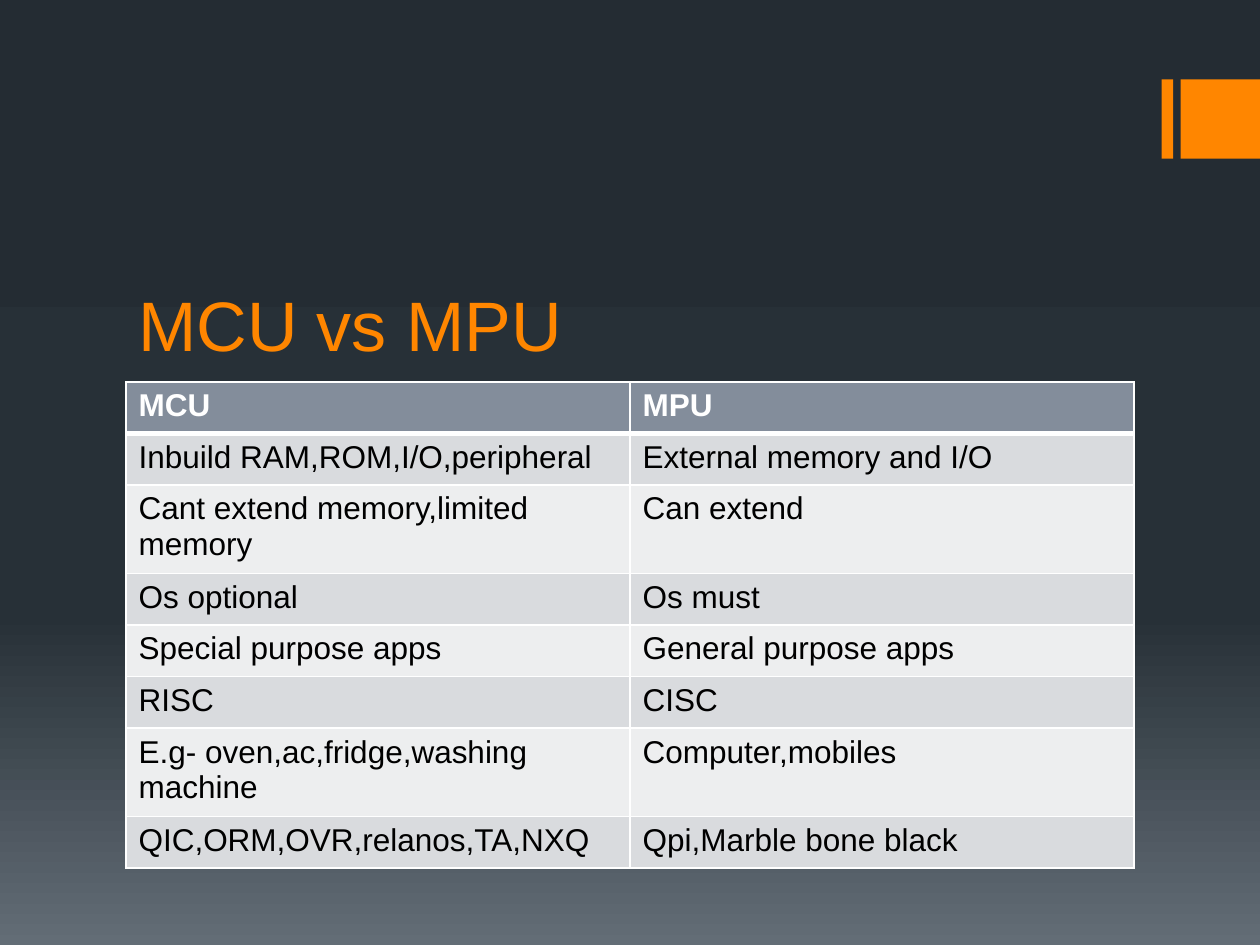
from lxml import etree
from pptx import Presentation
from pptx.dml.color import RGBColor
from pptx.enum.shapes import MSO_SHAPE
from pptx.enum.text import MSO_ANCHOR
from pptx.oxml.ns import qn
from pptx.util import Inches, Pt

RECTANGLE = MSO_SHAPE.RECTANGLE
BOTTOM = MSO_ANCHOR.BOTTOM

ORANGE = RGBColor(0xFF, 0x86, 0x00)
WHITE = RGBColor(0xFF, 0xFF, 0xFF)
BLACK = RGBColor(0x00, 0x00, 0x00)
HEADER_GRAY = RGBColor(0x83, 0x8D, 0x9B)
BANDS = (RGBColor(0xD9, 0xDB, 0xDE), RGBColor(0xED, 0xEE, 0xEF))
BACKGROUND_STOPS = (
    (0, RGBColor(0x24, 0x2C, 0x33)),
    (65, RGBColor(0x27, 0x30, 0x37)),
    (100, RGBColor(0x63, 0x6D, 0x76)),
)

ROWS = (
    ("MCU", "MPU"),
    ("Inbuild RAM,ROM,I/O,peripheral", "External memory and I/O"),
    ("Cant extend memory,limited memory", "Can extend"),
    ("Os optional", "Os must"),
    ("Special purpose apps", "General purpose apps"),
    ("RISC", "CISC"),
    ("E.g- oven,ac,fridge,washing machine", "Computer,mobiles"),
    ("QIC,ORM,OVR,relanos,TA,NXQ", "Qpi,Marble bone black"),
)


class SlideBuilder:
    font_name = "Arial"

    def __init__(self, slide):
        self.slide = slide

    def background(self, stops):
        fill = self.slide.background.fill
        fill.gradient()
        fill.gradient_angle = 270
        stop_list = next(self.slide.element.iter(qn("a:gsLst")))
        for stop in list(stop_list):
            stop_list.remove(stop)
        for percent, color in stops:
            stop = etree.SubElement(stop_list, qn("a:gs"), pos=str(percent * 1000))
            etree.SubElement(stop, qn("a:srgbClr"), val=str(color))

    def block(self, left, top, width, height, color):
        shape = self.slide.shapes.add_shape(
            RECTANGLE, Inches(left), Inches(top), Inches(width), Inches(height))
        shape.shadow.inherit = False
        shape.fill.solid()
        shape.fill.fore_color.rgb = color
        shape.line.fill.background()

    def add_text(self, text_frame, text, size, color, bold=False):
        run = text_frame.paragraphs[0].add_run()
        run.text = text
        run.font.name = self.font_name
        run.font.size = Pt(size)
        run.font.bold = bold
        run.font.color.rgb = color

    def title(self, left, top, width, height, text):
        box = self.slide.shapes.add_textbox(
            Inches(left), Inches(top), Inches(width), Inches(height))
        box.text_frame.word_wrap = True
        box.text_frame.vertical_anchor = BOTTOM
        self.add_text(box.text_frame, text, 40, ORANGE)

    def borders(self, cell, widths):
        properties = cell._tc.get_or_add_tcPr()
        for side, width in widths.items():
            line = etree.SubElement(properties, qn("a:ln" + side), w=str(Pt(width)))
            fill = etree.SubElement(line, qn("a:solidFill"))
            etree.SubElement(fill, qn("a:srgbClr"), val=str(WHITE))

    def table(self, left, top, width, row_height, rows):
        table = self.slide.shapes.add_table(
            len(rows), len(rows[0]), Inches(left), Inches(top),
            Inches(width), Inches(row_height * len(rows))).table
        for row in table.rows:
            row.height = Inches(row_height)
        for row_index, texts in enumerate(rows):
            header = row_index == 0
            widths = {"L": 1, "R": 1,
                      "T": 3 if row_index == 1 else 1,
                      "B": 3 if header else 1}
            for column_index, text in enumerate(texts):
                cell = table.cell(row_index, column_index)
                self.borders(cell, widths)
                cell.fill.solid()
                cell.fill.fore_color.rgb = HEADER_GRAY if header else BANDS[(row_index - 1) % 2]
                self.add_text(cell.text_frame, text, 18, WHITE if header else BLACK, header)


presentation = Presentation()
presentation.slide_width = Inches(10)
presentation.slide_height = Inches(7.5)
builder = SlideBuilder(presentation.slides.add_slide(presentation.slide_layouts[6]))

# Background and corner accent
builder.background(BACKGROUND_STOPS)
for left, width in ((9.22, 0.09), (9.37, 0.63)):
    builder.block(left, 0.63, width, 0.63, ORANGE)

# Title and comparison table
builder.title(1, 1.69, 8, 1.26, "MCU vs MPU")
builder.table(1, 3.03, 8, 0.41, ROWS)

presentation.save("out.pptx")
